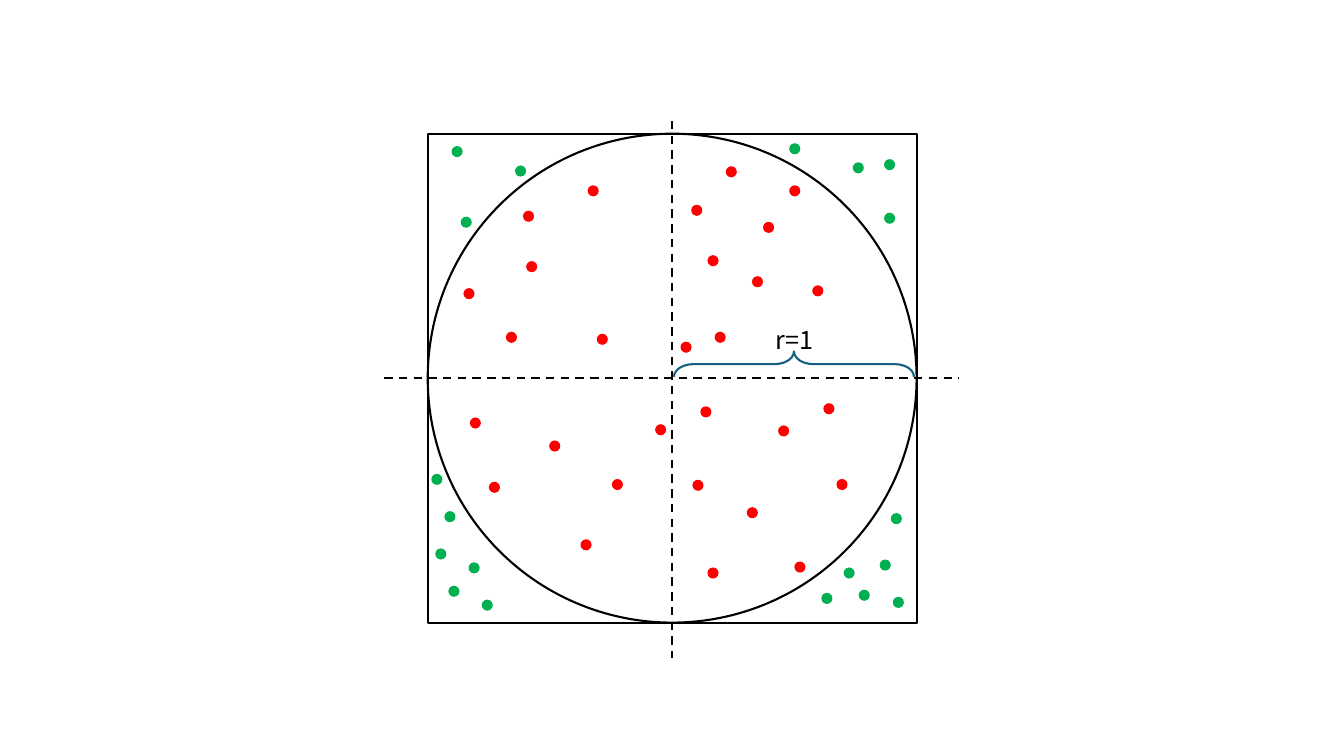
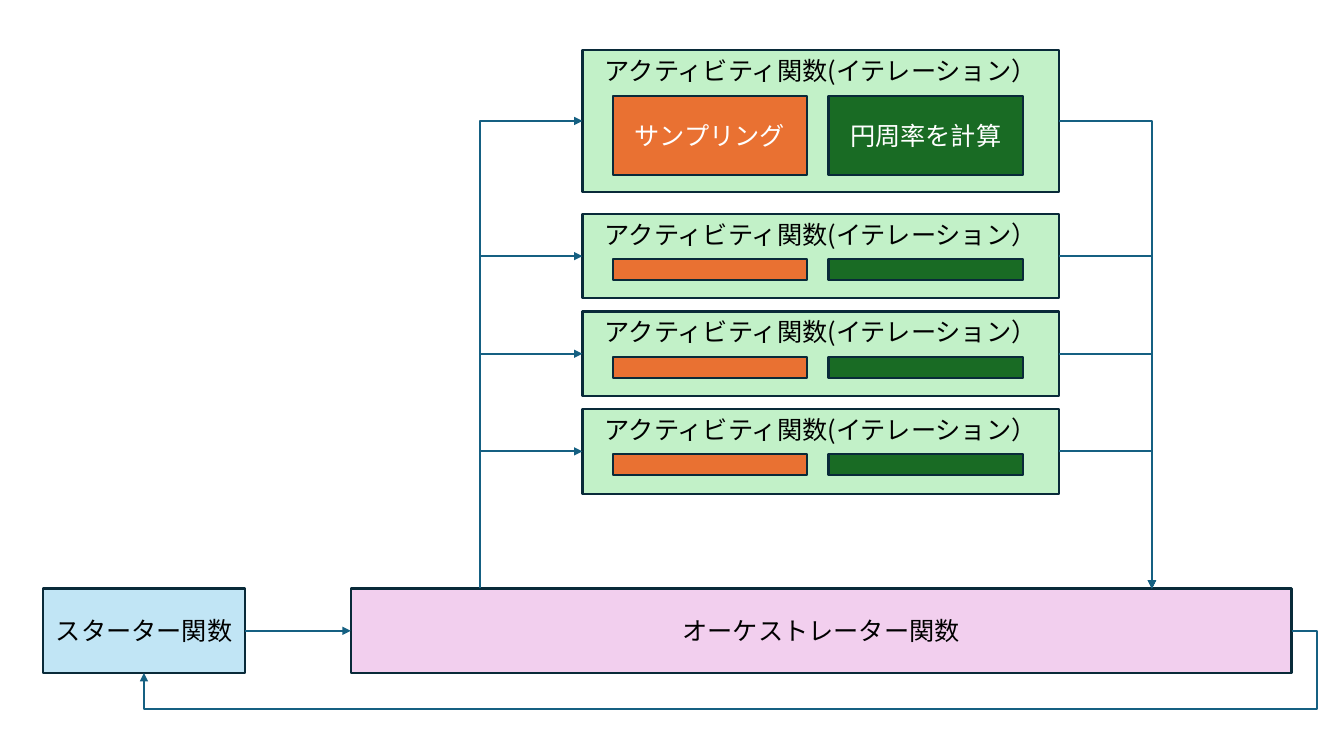
from lxml import etree
from pptx import Presentation
from pptx.dml import color
from pptx.enum import dml, shapes, text
from pptx.oxml import ns
from pptx.util import Cm, Pt

# Shared style
FONT = "Noto Sans CJK JP"
BLACK, WHITE = "000000", "FFFFFF"
OUTLINE, FLOW = "092A39", "156082"
INSIDE, OUTSIDE = "FF0000", "00B050"
ACTIVITY, SAMPLING, ESTIMATE = "C2F1C8", "E97132", "196B24"
ORCHESTRATOR, STARTER = "F2CFEE", "C1E5F5"
LINE_WIDTH = Pt(1.5)
RECT = shapes.MSO_SHAPE.RECTANGLE
OVAL = shapes.MSO_SHAPE.OVAL

# Sample points: left and top in centimetres
POINTS_INSIDE = [
    (20.47, 7.19), (18.01, 8.36), (12.75, 8.36), (15.04, 8.41), (13.18, 5.31),
    (14.81, 4.67), (11.68, 7.26), (13.26, 6.58), (12.32, 12.14), (11.84, 10.52),
    (15.42, 12.07), (17.42, 5.16), (18.29, 4.19), (18.95, 6.96), (17.83, 6.43),
    (19.23, 5.59), (19.89, 4.67), (17.65, 10.24), (17.15, 8.61), (20.75, 10.16),
    (20.02, 14.15), (13.84, 11.1), (16.51, 10.69), (17.83, 14.3), (14.63, 13.59),
    (17.45, 12.09), (18.82, 12.78), (19.61, 10.72), (21.08, 12.07),
]
POINTS_OUTSIDE = [
    (19.89, 3.61), (21.49, 4.09), (22.28, 5.36), (22.28, 4.01), (11.38, 3.68),
    (12.98, 4.17), (11.61, 5.46), (10.87, 11.94), (11.2, 12.88), (10.97, 13.82),
    (11.3, 14.76), (11.81, 14.17), (12.14, 15.11), (22.17, 14.1), (22.5, 15.04),
    (21.26, 14.3), (20.7, 14.94), (21.64, 14.86), (22.45, 12.93),
]


def rgb(value):
    return color.RGBColor.from_string(value)


def add_sub(parent, tag, **attributes):
    return etree.SubElement(parent, ns.qn(tag), attributes)


def write(frame, words, ink):
    paragraph = frame.paragraphs[0]
    paragraph.alignment = text.PP_ALIGN.CENTER
    run = paragraph.add_run()
    run.text = words
    run.font.size = Pt(18)
    run.font.name = FONT
    run.font.color.rgb = rgb(ink)
    add_sub(run.font._element, "a:ea", typeface=FONT)


def add_figure(slide, preset, left, top, width, height, fill=None, line=None):
    """Add a preset shape; lengths are in centimetres."""
    figure = slide.shapes.add_shape(preset, Cm(left), Cm(top), Cm(width), Cm(height))
    figure.shadow.inherit = False
    if fill:
        figure.fill.solid()
        figure.fill.fore_color.rgb = rgb(fill)
    else:
        figure.fill.background()
    if line:
        figure.line.color.rgb = rgb(line)
        figure.line.width = LINE_WIDTH
    else:
        figure.line.fill.background()
    return figure


def add_box(slide, left, top, width, height, fill, words="", ink=BLACK,
            anchor=text.MSO_ANCHOR.MIDDLE):
    box = add_figure(slide, RECT, left, top, width, height, fill, OUTLINE)
    if words:
        box.text_frame.vertical_anchor = anchor
        write(box.text_frame, words, ink)
    return box


def add_line(slide, start, end, ink, kind=shapes.MSO_CONNECTOR.STRAIGHT, arrow=False):
    """Add a connector between two (x, y) points."""
    line = slide.shapes.add_connector(kind, *map(int, start + end))
    line.line.color.rgb = rgb(ink)
    line.line.width = LINE_WIDTH
    if arrow:
        add_sub(line.line._get_or_add_ln(), "a:tailEnd", type="triangle")
    add_sub(line._element.spPr, "a:effectLst")
    return line


def add_bend(slide, start, end, preset="bentConnector2", adjustments=()):
    """Add an arrow that leaves horizontally and follows a bent preset."""
    bend = add_line(slide, start, end, FLOW, shapes.MSO_CONNECTOR.ELBOW, arrow=True)
    geometry = bend._element.spPr.find(ns.qn("a:prstGeom"))
    geometry.set("prst", preset)
    guides = geometry.find(ns.qn("a:avLst"))
    for number, share in enumerate(adjustments, 1):
        add_sub(guides, "a:gd", name=f"adj{number}", fmla=f"val {round(share * 100000)}")
    return bend


def add_rising_bend(slide, start, end):
    """Add an arrow that goes up first and then right: a quarter-turned bend."""
    (x0, y0), (x1, y1) = start, end
    middle_x, middle_y = (x0 + x1) / 2, (y0 + y1) / 2
    half_rise, half_run = (y0 - y1) / 2, (x1 - x0) / 2
    bend = add_bend(slide, (middle_x + half_rise, middle_y + half_run),
                    (middle_x - half_rise, middle_y - half_run))
    bend._element.spPr.find(ns.qn("a:xfrm")).set("rot", "5400000")


def build_sampling(slide):
    # Square, circle and dashed axes
    center_x, center_y, radius = 16.94, 9.53, 6.16
    for preset in (RECT, OVAL):
        add_figure(slide, preset, center_x - radius, center_y - radius,
                   2 * radius, 2 * radius, line=BLACK)
    for start, end in (((9.68, center_y), (24.18, center_y)),
                       ((center_x, 3.05), (center_x, 16.59))):
        axis = add_line(slide, tuple(map(Cm, start)), tuple(map(Cm, end)), BLACK)
        axis.line.dash_style = dml.MSO_LINE.DASH

    # Radius label and brace
    radius_label = slide.shapes.add_textbox(Cm(19.23), Cm(8.05), Cm(1.57), Cm(1.02))
    radius_label.text_frame.word_wrap = False
    radius_label.text_frame.auto_size = text.MSO_AUTO_SIZE.SHAPE_TO_FIT_TEXT
    write(radius_label.text_frame, "r=1", BLACK)
    brace = add_figure(slide, shapes.MSO_SHAPE.RIGHT_BRACE, 19.69, 6.15, 0.64, 6.05,
                       line=FLOW)
    brace.rotation = 270
    brace.adjustments[0] = 0.76

    # Random points
    for points, fill in ((POINTS_INSIDE, INSIDE), (POINTS_OUTSIDE, OUTSIDE)):
        for left, top in points:
            add_figure(slide, OVAL, left, top, 0.28, 0.28, fill)


def add_activity(slide, top, height, step_height, sampling="", estimate=""):
    activity = add_box(slide, 14.68, top, 12.01, height, ACTIVITY,
                       "アクティビティ関数(イテレーション）", anchor=text.MSO_ANCHOR.TOP)
    for left, fill, words in ((15.44, SAMPLING, sampling), (20.88, ESTIMATE, estimate)):
        add_box(slide, left, top + 1.14, 4.9, step_height, fill, words, WHITE)
    return activity


def build_workflow(slide):
    # Functions
    activities = [add_activity(slide, 1.27, 3.56, 2.01, "サンプリング", "円周率を計算")]
    for row in range(3):
        activities.append(add_activity(slide, 5.39 + 2.46 * row, 2.13, 0.53))
    orchestrator = add_box(slide, 8.84, 14.83, 23.71, 2.13, ORCHESTRATOR,
                           "オーケストレーター関数")
    starter = add_box(slide, 1.09, 14.83, 5.08, 2.13, STARTER, "スターター関数")

    # Fan-out to the activities and fan-in from them
    fan_out = (Cm(12.09), orchestrator.top)
    fan_in = (Cm(29.03), orchestrator.top)
    for activity in activities:
        middle = activity.top + activity.height // 2
        add_rising_bend(slide, fan_out, (activity.left, middle))
        add_bend(slide, (activity.left + activity.width, middle), fan_in)

    # Start call and return path
    middle = orchestrator.top + orchestrator.height // 2
    call = add_line(slide, (starter.left + starter.width, middle),
                    (orchestrator.left, middle), FLOW, arrow=True)
    call.begin_connect(starter, 3)
    call.end_connect(orchestrator, 1)
    start = (orchestrator.left + orchestrator.width, middle)
    end = (starter.left + starter.width // 2, starter.top + starter.height)
    turn = (Cm(33.2), Cm(17.86))
    shares = [(t - s) / (e - s) for s, e, t in zip(start, end, turn)]
    add_bend(slide, start, end, "bentConnector4", shares)


def main():
    deck = Presentation()
    deck.slide_width, deck.slide_height = Cm(33.87), Cm(19.05)
    blank = deck.slide_layouts[6]
    for build in (build_sampling, build_workflow):
        build(deck.slides.add_slide(blank))
    deck.save("out.pptx")


if __name__ == "__main__":
    main()
